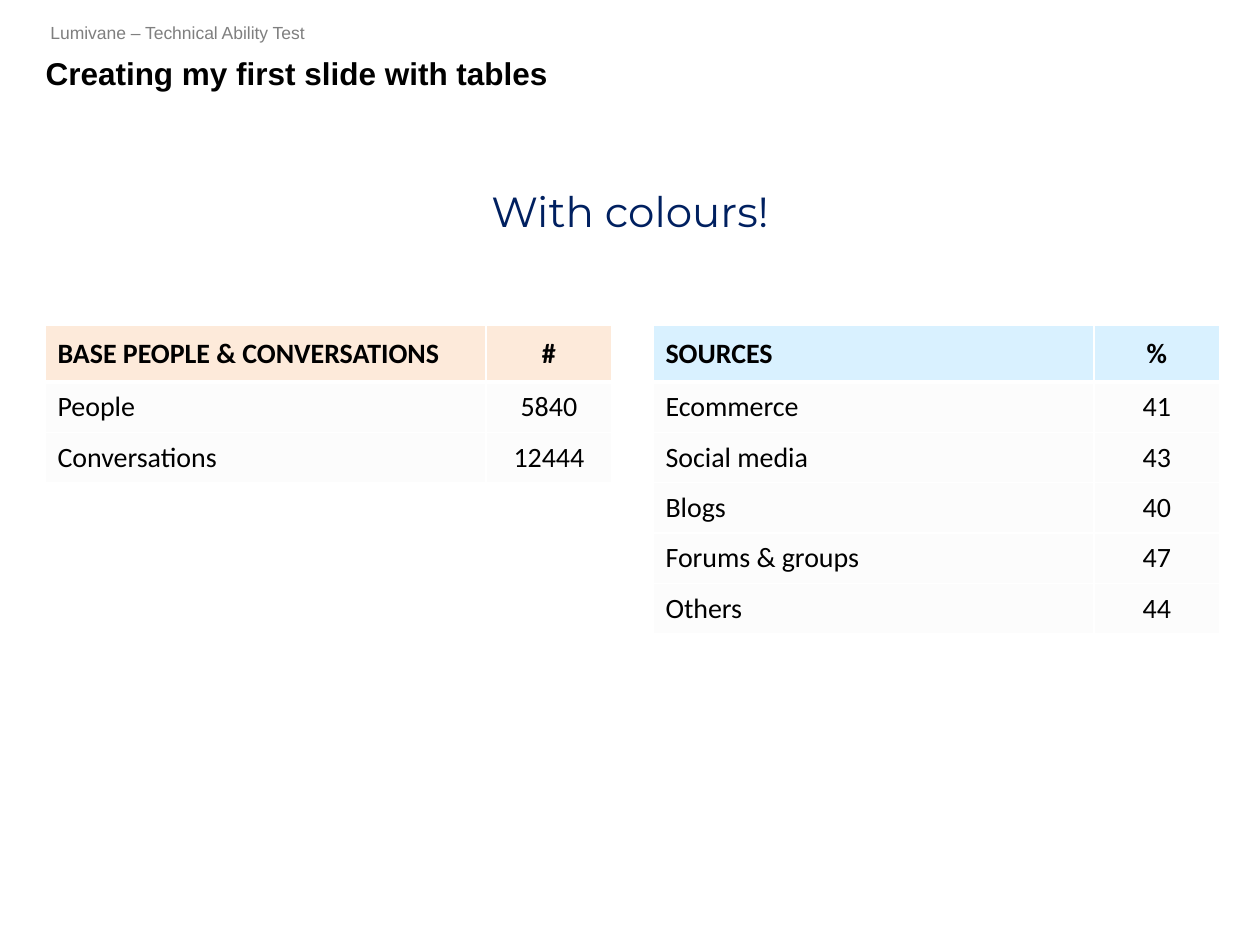
from lxml.etree import SubElement
from pptx import Presentation
from pptx.dml.color import RGBColor
from pptx.enum.text import MSO_ANCHOR as Anchor, MSO_AUTO_SIZE as AutoSize, PP_ALIGN as Align
from pptx.oxml.ns import qn
from pptx.util import Emu, Pt

PIXEL = 914400 // 126
BLACK = RGBColor(0x00, 0x00, 0x00)
WHITE = RGBColor(0xFF, 0xFF, 0xFF)
GREY = RGBColor(0x7F, 0x7F, 0x7F)
NAVY = RGBColor(0x00, 0x20, 0x60)
PEACH = RGBColor(0xFD, 0xEA, 0xDA)
SKY = RGBColor(0xD9, 0xF1, 0xFF)
PALE = RGBColor(0xFC, 0xFC, 0xFC)


def px(value):
    """Turn picture pixels into EMU."""
    return Emu(round(value * PIXEL))


def write(frame, text, font="Calibri", size=16, color=BLACK, bold=False,
          align=Align.LEFT, spacing=1.0, before=0):
    """Put one formatted paragraph into a text frame."""
    paragraph = frame.paragraphs[0]
    paragraph.alignment = align
    paragraph.line_spacing = spacing
    paragraph.space_before = Pt(before)
    run = paragraph.add_run()
    run.text = text
    run.font.name = font
    run.font.size = Pt(size)
    run.font.bold = bold
    run.font.color.rgb = color
    return paragraph


def set_border(cell, side, points):
    """Draw one white border of a table cell."""
    line = SubElement(cell._tc.get_or_add_tcPr(), qn(f"a:ln{side}"), w=str(Pt(points)))
    fill = SubElement(line, qn("a:solidFill"))
    SubElement(fill, qn("a:srgbClr"), val=str(WHITE))


class SlideBuilder:
    """Holds the style and the current slide."""

    column_widths = (441, 126)
    header_height = 57
    row_height = 50.4

    def __init__(self, slide):
        """Start on the given slide."""
        self.slide = slide

    def place(self, shape, box, anchor):
        """Move a text shape and set up its frame."""
        shape.left, shape.top, shape.width, shape.height = map(px, box)
        frame = shape.text_frame
        frame.word_wrap = True
        frame.auto_size = AutoSize.NONE
        frame.vertical_anchor = anchor
        return frame

    def label(self, text, box, **style):
        """Add a text box anchored at the bottom."""
        shape = self.slide.shapes.add_textbox(0, 0, 0, 0)
        write(self.place(shape, box, Anchor.BOTTOM), text, **style)

    def title(self, text, box, **style):
        """Fill the title placeholder."""
        write(self.place(self.slide.shapes.title, box, Anchor.MIDDLE), text, **style)

    def body(self, text, box, **style):
        """Fill the body placeholder without a bullet."""
        frame = self.place(self.slide.placeholders[1], box, Anchor.MIDDLE)
        properties = write(frame, text, **style)._p.get_or_add_pPr()
        properties.set("marL", "0")
        properties.set("indent", "0")
        SubElement(properties, qn("a:buNone"))

    def table(self, rows, left, top, header_color):
        """Add a two-column table whose first row is the header."""
        heights = [self.header_height] + [self.row_height] * (len(rows) - 1)
        table = self.slide.shapes.add_table(
            len(rows), len(self.column_widths), px(left), px(top),
            px(sum(self.column_widths)), px(sum(heights))).table
        table.horz_banding = False
        for column, width in zip(table.columns, self.column_widths):
            column.width = px(width)
        for index, (row, height, values) in enumerate(zip(table.rows, heights, rows)):
            row.height = px(height)
            is_header = index == 0
            for cell, value, align in zip(row.cells, values, (Align.LEFT, Align.CENTER)):
                for side in "LRTB":
                    thick = (is_header and side == "B") or (index == 1 and side == "T")
                    set_border(cell, side, 3 if thick else 1)
                cell.fill.solid()
                cell.fill.fore_color.rgb = header_color if is_header else PALE
                cell.vertical_anchor = Anchor.MIDDLE
                write(cell.text_frame, value, bold=is_header, align=align)


def main():
    """Build and save the slide."""
    presentation = Presentation()
    presentation.slide_width, presentation.slide_height = px(1260), px(945)
    builder = SlideBuilder(presentation.slides.add_slide(presentation.slide_layouts[1]))

    builder.label("Lumivane – Technical Ability Test", (38, 0, 1191, 49),
                  font="Arial", size=10, color=GREY)
    builder.title("Creating my first slide with tables", (33, 50, 1196, 50),
                  font="Arial", size=18, bold=True, spacing=0.9)
    builder.body("With colours!", (0, 180, 1260, 67), font="Montserrat", size=24,
                 color=NAVY, align=Align.CENTER, spacing=0.9, before=10)

    people = [("BASE PEOPLE & CONVERSATIONS", "#"),
              ("People", "5840"), ("Conversations", "12444")]
    sources = [("SOURCES", "%"), ("Ecommerce", "41"), ("Social media", "43"),
               ("Blogs", "40"), ("Forums & groups", "47"), ("Others", "44")]
    for rows, left, color in ((people, 45, PEACH), (sources, 653, SKY)):
        builder.table(rows, left, 325, color)
    presentation.save("out.pptx")


main()
